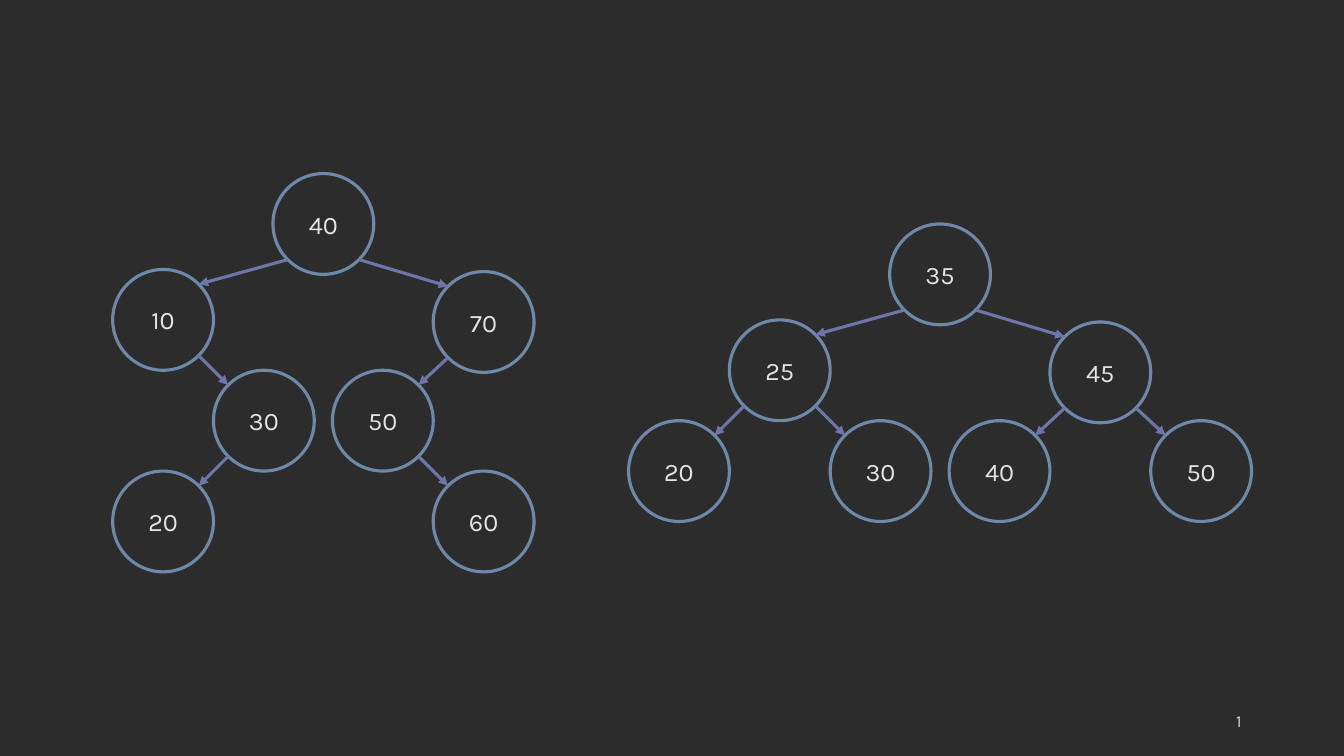
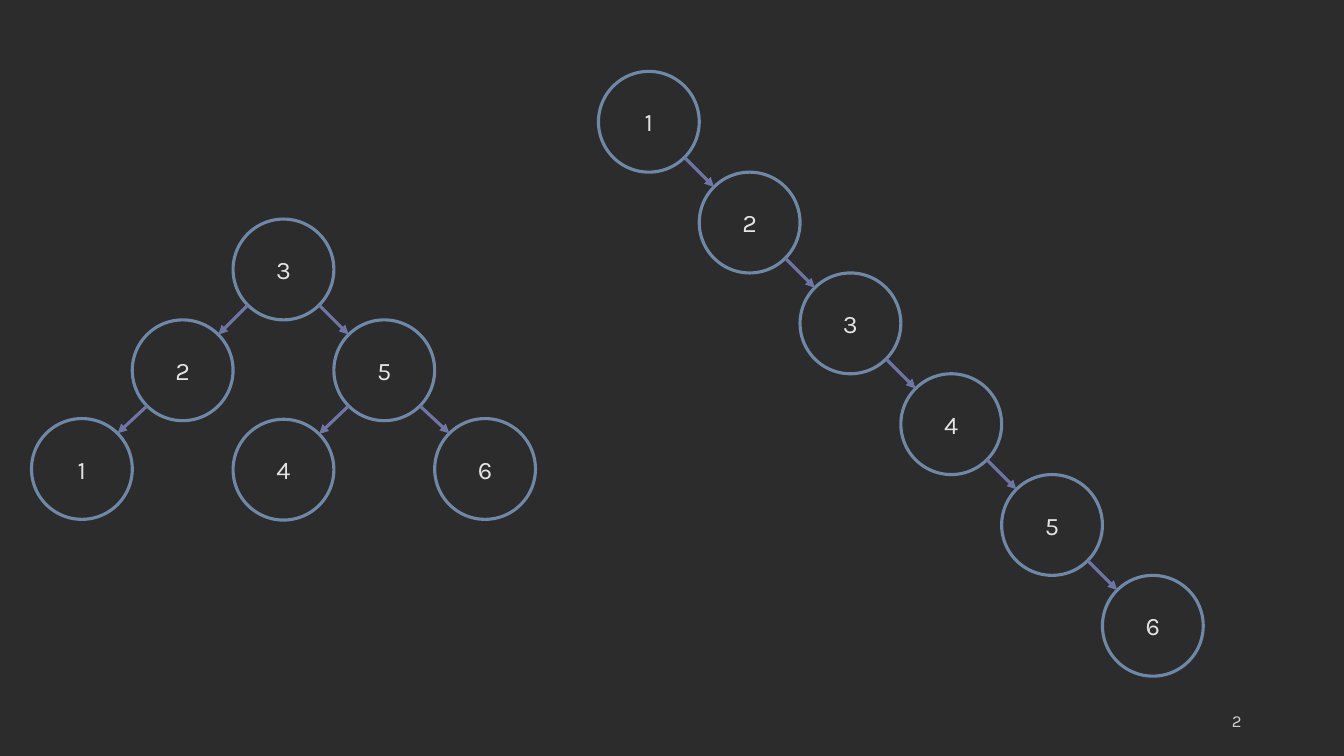
import math

import lxml.etree
import pptx
import pptx.dml.color
import pptx.enum.shapes
import pptx.enum.text
import pptx.oxml.ns
import pptx.util

Pt = pptx.util.Pt
qn = pptx.oxml.ns.qn

# Each entry: key, parent key, step right and step down from the parent.
UNBALANCED = [
    (40, None, 0, 0),
    (10, 40, -114.5, 68.5), (70, 40, 114.5, 70),
    (30, 10, 72, 72), (50, 70, -72, 70.5),
    (20, 30, -72, 72), (60, 50, 72, 72),
]
BALANCED = [
    (35, None, 0, 0),
    (25, 35, -114.5, 68.5), (45, 35, 114.5, 70),
    (20, 25, -72, 72), (30, 25, 72, 72),
    (40, 45, -72, 70.5), (50, 45, 72, 70.5),
]
SMALL = [
    (3, None, 0, 0),
    (2, 3, -72, 72), (5, 3, 72, 72),
    (1, 2, -72, 70.5), (4, 5, -72, 71), (6, 5, 72, 70.5),
]
CHAIN = [(1, None, 0, 0)] + [(key, key - 1, 72, 72) for key in range(2, 7)]


class Deck:
    COLORS = {"background": "2C2C2C", "node": "6D88A8", "edge": "6E75A8",
              "key": "E4E4E4", "number": "D1D1D1"}
    FONT = "Karla"
    DIAMETER = 72
    LINE = 2.25

    def __init__(self):
        self.prs = pptx.Presentation()
        self.prs.slide_width, self.prs.slide_height = Pt(960), Pt(540)
        self.paint(self.prs.slide_master.background.fill, "background")
        self.s = None

    def color(self, name):
        return pptx.dml.color.RGBColor.from_string(self.COLORS[name])

    def paint(self, fill, name):
        fill.solid()
        fill.fore_color.rgb = self.color(name)

    def outline(self, line, name):
        line.width = Pt(self.LINE)
        self.paint(line.fill, name)

    def label(self, tf, text, size, name, align):
        tf.text = text
        tf.vertical_anchor = pptx.enum.text.MSO_ANCHOR.MIDDLE
        p = tf.paragraphs[0]
        p.alignment = align
        r = p.runs[0]
        r.font.name, r.font.size = self.FONT, Pt(size)
        r.font.color.rgb = self.color(name)
        return r

    def add_slide(self):
        self.s = self.prs.slides.add_slide(self.prs.slide_layouts[6])
        self.slide_number()

    def slide_number(self):
        """Add the number as a field that follows the slide order."""
        sp = self.s.shapes.add_textbox(Pt(678), Pt(500.5), Pt(216), Pt(28.5))
        tf = sp.text_frame
        tf.word_wrap = True
        r = self.label(tf, str(len(self.prs.slides)), 12, "number",
                       pptx.enum.text.PP_ALIGN.RIGHT)._r
        field = lxml.etree.Element(qn("a:fld"), type="slidenum",
                                   id="{B6F15528-21DE-4FAA-801E-634DDDAF4B2B}")
        field.extend(list(r))
        r.getparent().replace(r, field)

    def node(self, key, x, y):
        sp = self.s.shapes.add_shape(
            pptx.enum.shapes.MSO_SHAPE.OVAL,
            Pt(x), Pt(y), Pt(self.DIAMETER), Pt(self.DIAMETER))
        sp.shadow.inherit = False
        sp.fill.background()
        self.outline(sp.line, "node")
        tf = sp.text_frame
        tf.margin_left = tf.margin_top = tf.margin_right = tf.margin_bottom = 0
        self.label(tf, str(key), 18, "key", pptx.enum.text.PP_ALIGN.CENTER)

    def edge(self, parent, child):
        """Draw an arrow between the facing diagonal points of two nodes."""
        radius = self.DIAMETER / 2
        reach = radius * math.sqrt(0.5)
        (x1, y1), (x2, y2) = parent, child
        side = math.copysign(reach, x2 - x1)
        cxn = self.s.shapes.add_connector(
            pptx.enum.shapes.MSO_CONNECTOR.STRAIGHT,
            Pt(x1 + radius + side), Pt(y1 + radius + reach),
            Pt(x2 + radius - side), Pt(y2 + radius - reach))
        self.outline(cxn.line, "edge")
        lxml.etree.SubElement(cxn.line._get_or_add_ln(), qn("a:tailEnd"),
                              type="triangle")
        lxml.etree.SubElement(cxn._element.spPr, qn("a:effectLst"))

    def tree(self, x, y, entries):
        """Draw a tree whose root has its top left corner at x, y."""
        corners = {None: (x, y)}
        for key, parent, dx, dy in entries:
            px, py = corners[parent]
            corners[key] = (px + dx, py + dy)
            self.node(key, *corners[key])
            if parent is not None:
                self.edge(corners[parent], corners[key])


def main():
    deck = Deck()
    deck.add_slide()
    deck.tree(195, 124, UNBALANCED)
    deck.tree(635.5, 160, BALANCED)
    deck.add_slide()
    deck.tree(166.5, 156.5, SMALL)
    deck.tree(427.5, 51, CHAIN)
    deck.prs.save("out.pptx")


if __name__ == "__main__":
    main()
